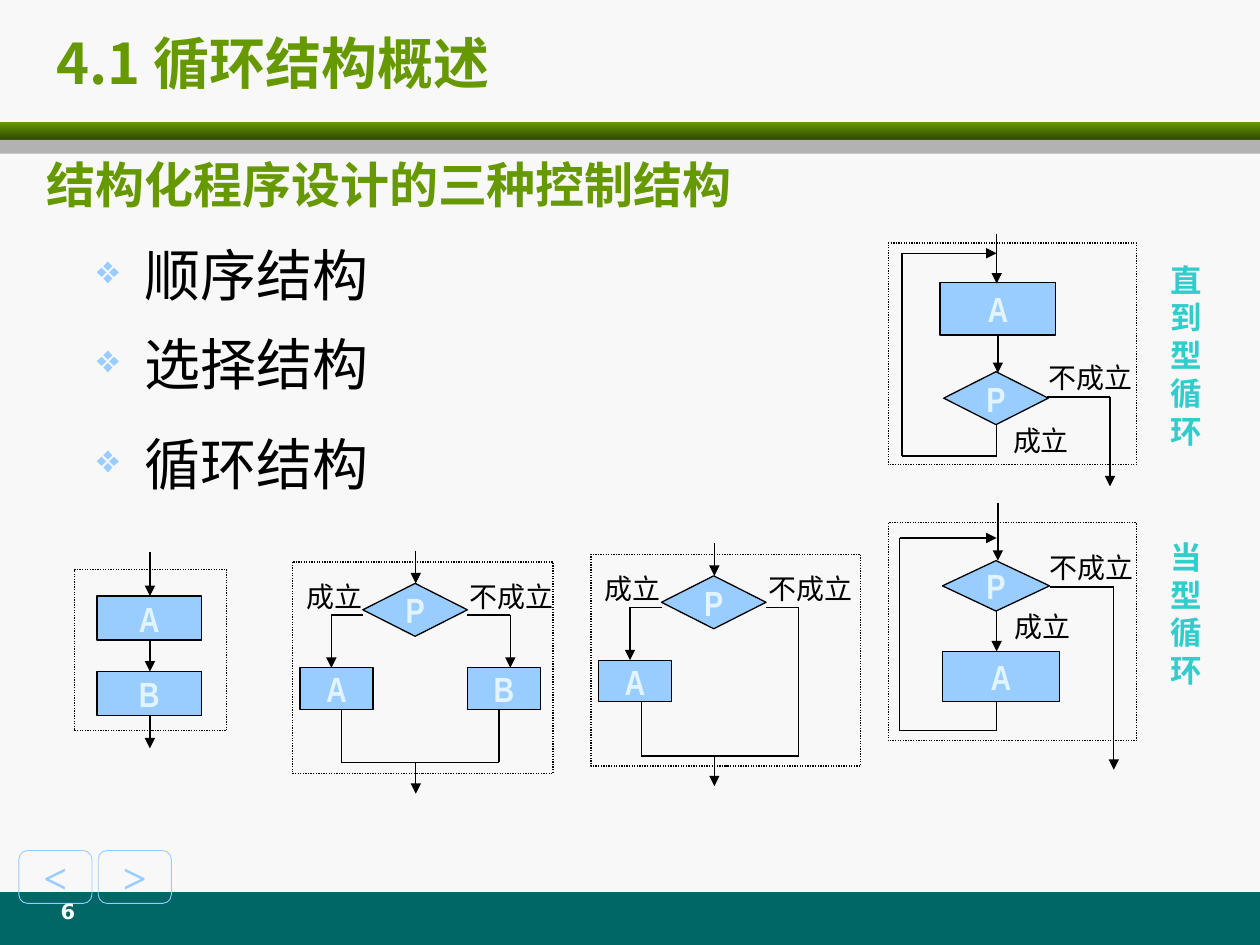
from dataclasses import dataclass
from itertools import pairwise

from lxml.etree import SubElement
from pptx import Presentation
from pptx.dml.color import RGBColor
from pptx.enum.dml import MSO_LINE
from pptx.enum.shapes import MSO_CONNECTOR, MSO_SHAPE
from pptx.enum.text import MSO_ANCHOR, MSO_AUTO_SIZE, PP_ALIGN
from pptx.oxml.ns import qn
from pptx.util import Inches, Pt

COLS, ROWS = 1000, 750  # grid cells across and down the slide
WIDTH, HEIGHT = Inches(10), Inches(7.5)

PAPER = RGBColor(0xF8, 0xF8, 0xF8)
GREEN = RGBColor(0x66, 0x99, 0x00)
DARK_GREEN = RGBColor(0x2F, 0x47, 0x00)
GRAY = RGBColor(0xB2, 0xB2, 0xB2)
TEAL = RGBColor(0x00, 0x66, 0x66)
BLUE = RGBColor(0x99, 0xCC, 0xFF)
PALE = RGBColor(0xE1, 0xF4, 0xFF)
AQUA = RGBColor(0x33, 0xCC, 0xCC)
BLACK = RGBColor(0, 0, 0)
CJK = "Noto Sans CJK SC"

RECT, DIAMOND = MSO_SHAPE.RECTANGLE, MSO_SHAPE.FLOWCHART_DECISION
Area = tuple[int, int, int, int]  # column, row, columns wide, rows high


@dataclass(frozen=True)
class Node:
    text: str
    area: Area
    kind: MSO_SHAPE = RECT


@dataclass(frozen=True)
class Route:
    points: tuple[tuple[int, int], ...]
    arrow: bool = True


@dataclass(frozen=True)
class Label:
    text: str
    area: Area
    side: bool = False


@dataclass(frozen=True)
class Flowchart:
    """Parts are placed relative to the frame's top left corner."""
    frame: Area
    nodes: list[Node]
    routes: list[Route]
    labels: list[Label]


def route(*points, arrow=True) -> Route:
    return Route(points, arrow)


def choice(frame: Area, nodes: list[Node], routes: list[Route]) -> Flowchart:
    """A two-way branch whose left arm always runs through A."""
    return Flowchart(
        frame,
        [Node("P", (56, 17, 83, 42), DIAMOND), Node("A", (6, 84, 58, 33)), *nodes],
        [route((98, -9), (98, 17)), route((56, 42), (31, 42), (31, 84)),
         route((98, 159), (98, 184)), *routes],
        [Label("成立", (11, 9, 55, 37)), Label("不成立", (141, 9, 72, 37))])


CHARTS = [
    Flowchart(
        (59, 452, 121, 128),
        [Node("A", (18, 21, 83, 35)), Node("B", (18, 81, 83, 35))],
        [route((60, top), (60, end)) for top, end in ((-14, 21), (55, 81), (116, 142))],
        []),
    choice(
        (232, 446, 207, 168),
        [Node("B", (139, 84, 58, 33))],
        [route((139, 42), (173, 42), (173, 84)),
         route((39, 117), (39, 159), (164, 159), (164, 117), arrow=False)]),
    choice(
        (469, 440, 214, 168), [],
        [route((139, 42), (165, 42), (165, 160), (40, 160), (40, 117), arrow=False)]),
    Flowchart(
        (705, 415, 197, 173),
        [Node("P", (43, 30, 85, 40), DIAMOND), Node("A", (43, 102, 93, 40))],
        [route((87, -16), (87, 30)), route((86, 70), (86, 102)),
         route((86, 141), (86, 165), (9, 165), (9, 12), (86, 12)),
         route((128, 51), (179, 51), (179, 196))],
        [Label("成立", (100, 64, 51, 37)), Label("不成立", (128, 17, 76, 37)),
         Label("当型循环", (222, 7, 27, 130), True)]),
    Flowchart(
        (705, 193, 197, 176),
        [Node("P", (44, 102, 83, 42), DIAMOND), Node("A", (41, 31, 92, 42))],
        [route((86, -7), (86, 32)), route((87, 73), (87, 103)),
         route((86, 144), (86, 169), (11, 169), (11, 8), (86, 8)),
         route((126, 122), (176, 122), (176, 193))],
        [Label("成立", (99, 138, 50, 37)), Label("不成立", (127, 88, 75, 37)),
         Label("直到型循环", (222, 9, 27, 160), True)]),
]


def across(n: int) -> int:
    return round(WIDTH * n / COLS)


def down(n: int) -> int:
    return round(HEIGHT * n / ROWS)


def cells(area: Area) -> tuple[int, int, int, int]:
    x, y, w, h = area
    return across(x), down(y), across(w), down(h)


def shift(area: Area, frame: Area) -> Area:
    return area[0] + frame[0], area[1] + frame[1], area[2], area[3]


def write(sp, text: str, *, size: float, font: str, color: RGBColor, bold=False,
          align=PP_ALIGN.LEFT, anchor=MSO_ANCHOR.TOP, wrap=True, inset=True,
          bullet: str | None = None, hanging=False, spacing: float | None = None):
    tf = sp.text_frame
    tf.word_wrap, tf.auto_size, tf.vertical_anchor = wrap, MSO_AUTO_SIZE.NONE, anchor
    tf.margin_left = tf.margin_right = Inches(0.1 if inset else 0)
    p = tf.paragraphs[0]
    p.alignment, p.space_before, p.line_spacing = align, Pt(0), spacing
    pPr = p._p.get_or_add_pPr()
    indent = Inches(0.38) if hanging else 0
    pPr.set("marL", str(indent))
    pPr.set("indent", str(-indent))
    if bullet:
        SubElement(SubElement(pPr, qn("a:buClr")), qn("a:srgbClr"), val=str(BLUE))
        SubElement(pPr, qn("a:buSzPct"), val="70000")
        SubElement(pPr, qn("a:buChar"), char=bullet)
    else:
        SubElement(pPr, qn("a:buNone"))
    r = p.add_run()
    r.text = text
    r.font.size, r.font.name, r.font.bold = Pt(size), font, bold
    r.font.color.rgb = color
    SubElement(r._r.get_or_add_rPr(), qn("a:ea"), typeface=CJK)


def add_shape(s, kind: MSO_SHAPE, area: Area, fill: RGBColor | None = None,
              line: RGBColor | None = None, weight=0.75):
    sp = s.shapes.add_shape(kind, *cells(area))
    sp.shadow.inherit = False
    if fill is None:
        sp.fill.background()
    else:
        sp.fill.solid()
        sp.fill.fore_color.rgb = fill
    if line is None:
        sp.line.fill.background()
    else:
        sp.line.color.rgb, sp.line.width = line, Pt(weight)
    return sp


def add_text(s, text: str, area: Area, **fmt):
    write(s.shapes.add_textbox(*cells(area)), text, **fmt)


def draw_route(s, line: Route, frame: Area):
    left, top = frame[:2]
    points = [(across(x + left), down(y + top)) for x, y in line.points]
    for start, end in pairwise(points):
        cn = s.shapes.add_connector(MSO_CONNECTOR.STRAIGHT, *start, *end)
        cn.line.color.rgb, cn.line.width = BLACK, Pt(0.75)
        if line.arrow and end == points[-1]:
            SubElement(cn.line._get_or_add_ln(), qn("a:tailEnd"), type="triangle")
        SubElement(cn._element.spPr, qn("a:effectLst"))


def draw_chart(s, chart: Flowchart):
    for node in chart.nodes:
        sp = add_shape(s, node.kind, shift(node.area, chart.frame), BLUE, BLACK)
        write(sp, node.text, size=20, font="Arial Narrow", color=PALE, bold=True,
              align=PP_ALIGN.CENTER, anchor=MSO_ANCHOR.MIDDLE, wrap=False)
    for line in chart.routes:
        draw_route(s, line, chart.frame)
    for label in chart.labels:
        fmt = (dict(size=18, font="Courier New", color=AQUA, bold=True, align=PP_ALIGN.RIGHT)
               if label.side else dict(size=16, font="Arial Narrow", color=BLACK))
        add_text(s, label.text, shift(label.area, chart.frame), inset=False, **fmt)
    add_shape(s, RECT, chart.frame, line=BLACK).line.dash_style = MSO_LINE.ROUND_DOT


def main():
    prs = Presentation()
    prs.slide_width, prs.slide_height = WIDTH, HEIGHT
    s = prs.slides.add_slide(prs.slide_layouts[1])
    s.background.fill.solid()
    s.background.fill.fore_color.rgb = PAPER

    add_shape(s, RECT, (0, 708, COLS, 42), TEAL)
    band = add_shape(s, RECT, (0, 97, COLS, 14), GREEN)
    band.fill.gradient()
    band.fill.gradient_angle = 270
    for stop, color in zip(band.fill.gradient_stops, (GREEN, DARK_GREEN)):
        stop.color.rgb = color
    add_shape(s, RECT, (0, 111, COLS, 11), GRAY)

    title, body = s.shapes.title, s.placeholders[1]
    for sp, area in ((title, (35, 34, 872, 31)), (body, (27, 123, 874, 66))):
        sp.left, sp.top, sp.width, sp.height = cells(area)
    heading = dict(font=CJK, color=GREEN, bold=True)
    write(title, "4.1 循环结构概述", size=32, anchor=MSO_ANCHOR.MIDDLE, **heading)
    write(body, "结构化程序设计的三种控制结构", size=28, hanging=True, spacing=0.9, **heading)

    for text, row in (("顺序结构", 186), ("选择结构", 257), ("循环结构", 336)):
        add_text(s, text, (67, row, 850, 56), size=32, font="Arial", color=BLACK,
                 bullet="❖", hanging=True)

    for text, col in (("<", 15), (">", 78)):
        sp = add_shape(s, MSO_SHAPE.ROUNDED_RECTANGLE, (col, 675, 58, 42), line=BLUE, weight=0.5)
        write(sp, text, size=24, font="Times New Roman", color=BLUE, bold=True,
              align=PP_ALIGN.CENTER, anchor=MSO_ANCHOR.MIDDLE, wrap=False)
    add_text(s, "6", (25, 708, 58, 33), size=12, font="DejaVu Sans", color=PAPER,
             bold=True, align=PP_ALIGN.CENTER)

    for chart in CHARTS:
        draw_chart(s, chart)
    prs.save("out.pptx")


if __name__ == "__main__":
    main()
